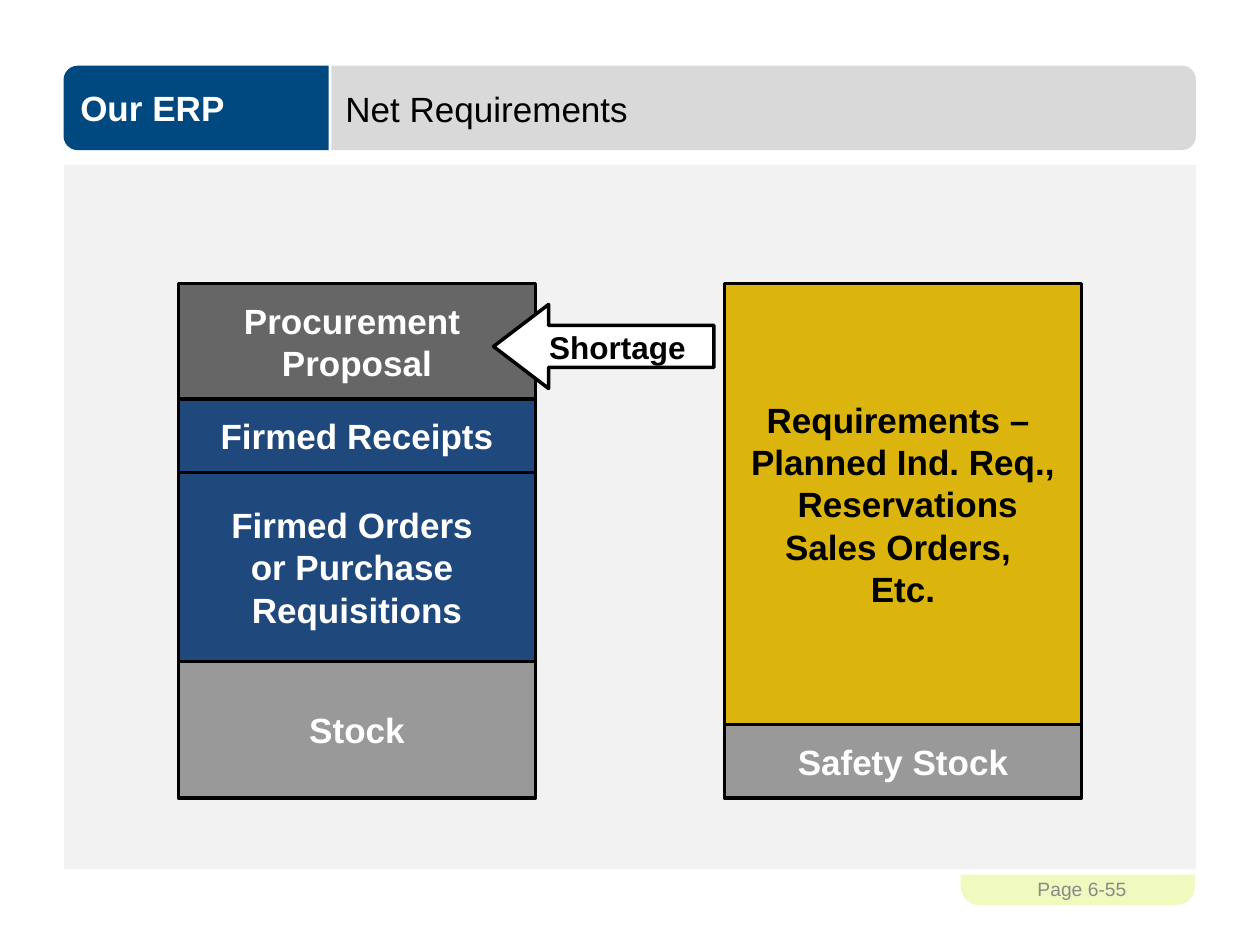
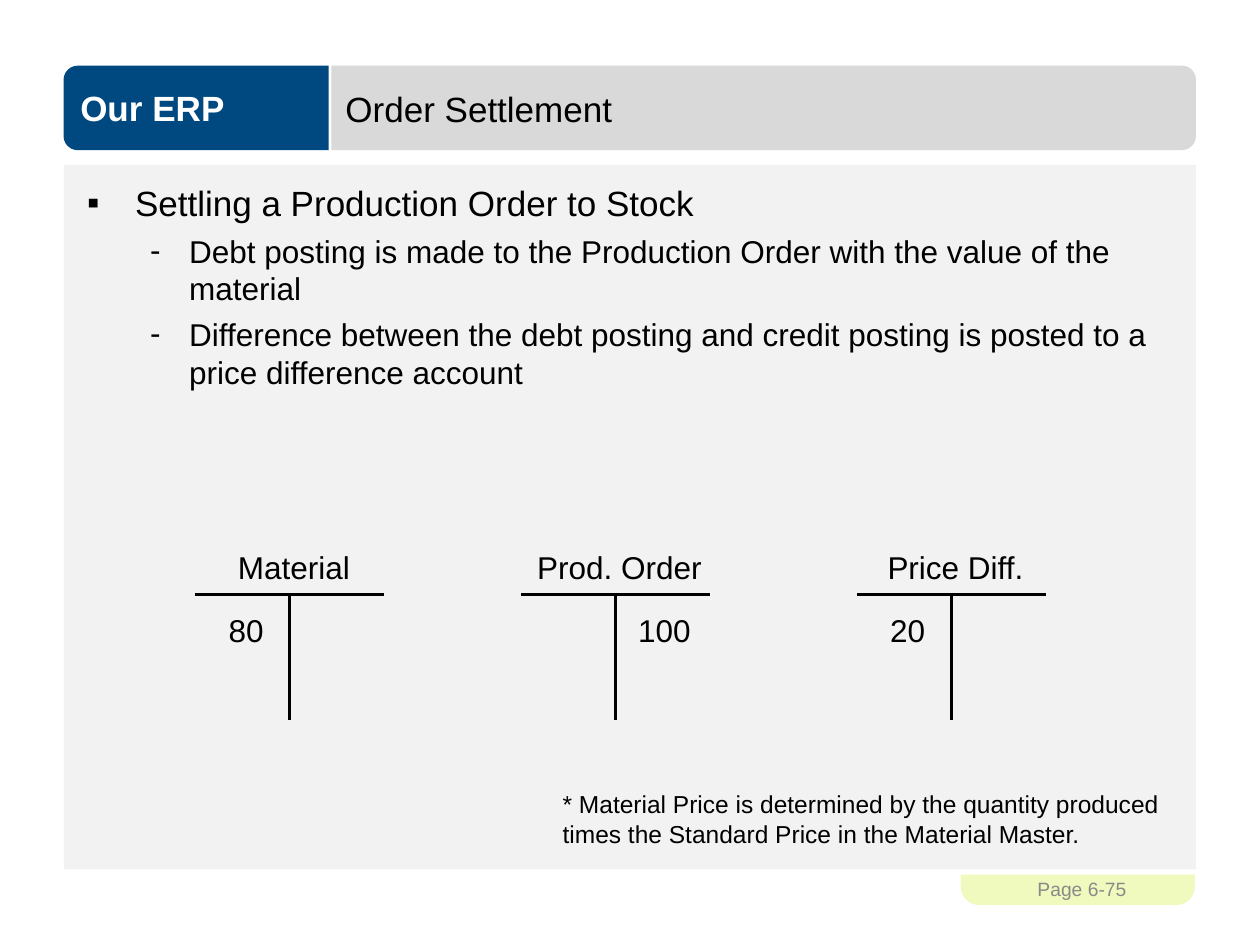
from dataclasses import dataclass

from lxml import etree
from pptx import Presentation
from pptx.dml.color import RGBColor
from pptx.enum.shapes import MSO_CONNECTOR, MSO_SHAPE
from pptx.enum.text import MSO_ANCHOR, MSO_AUTO_SIZE, PP_ALIGN
from pptx.oxml.ns import qn
from pptx.util import Emu, Inches, Pt

RECT, ROUNDED = MSO_SHAPE.RECTANGLE, MSO_SHAPE.ROUNDED_RECTANGLE
TWO_ROUNDED, LEFT_ARROW = MSO_SHAPE.ROUND_2_SAME_RECTANGLE, MSO_SHAPE.LEFT_ARROW
STRAIGHT = MSO_CONNECTOR.STRAIGHT
LEFT, CENTER = PP_ALIGN.LEFT, PP_ALIGN.CENTER
TOP, MIDDLE = MSO_ANCHOR.TOP, MSO_ANCHOR.MIDDLE
NO_FIT, GROW = MSO_AUTO_SIZE.NONE, MSO_AUTO_SIZE.SHAPE_TO_FIT_TEXT

WIDTH, HEIGHT = Inches(10), Inches(7.5)
UNIT = WIDTH / 120  # the page is a grid of 120 columns by 90 rows
FONT = "Arial"
BLACK, WHITE, NAVY, BLUE = "000000", "FFFFFF", "004880", "1F497D"
BAND_GREY, PANEL_GREY, PAGE_GREY = "D9D9D9", "F2F2F2", "898989"
DARK_GREY, STOCK_GREY, GOLD, LIME = "666666", "999999", "DBB40D", "F1FABE"

TITLE_LAYOUT, LIST_LAYOUT = 5, 1


@dataclass(frozen=True)
class Area:
    """A rectangle in grid units."""
    left: float
    top: float
    width: float
    height: float

    def emu(self) -> list[Emu]:
        return [grid(n) for n in (self.left, self.top, self.width, self.height)]


@dataclass(frozen=True)
class TextStyle:
    size: float
    color: str = BLACK
    bold: bool = False
    align: PP_ALIGN = LEFT


@dataclass(frozen=True)
class Block:
    """One layer of a stacked column."""
    lines: tuple[str, ...]
    rows: float
    fill: str
    ink: str = WHITE


@dataclass(frozen=True)
class Account:
    name: str
    left: float
    label_width: float
    amount: str
    amount_shift: float


@dataclass(frozen=True)
class Bullet:
    text: str
    level: int
    mark: str
    size: float
    indent: float
    hanging: float
    before: float


TITLE = TextStyle(20)
BRAND = TextStyle(20, WHITE, True, CENTER)
PAGE_NUMBER = TextStyle(11, PAGE_GREY, align=CENTER)
ACCOUNT_NAME = TextStyle(18, align=CENTER)
AMOUNT = TextStyle(18)
FOOTNOTE = TextStyle(14)
SHORTAGE = TextStyle(18, BLACK, True, CENTER)

BAND_TOP, BAND_HEIGHT = 6.25, 8.05
STACK_TOP, STACK_WIDTH = 27, 34
STACKS = {
    17: (
        Block(("Procurement ", "Proposal"), 11, DARK_GREY),
        Block(("Firmed Receipts",), 7, BLUE),
        Block(("Firmed Orders ", "or Purchase ", "Requisitions"), 18, BLUE),
        Block(("Stock",), 13, STOCK_GREY),
    ),
    69: (
        Block(("Requirements – ", "Planned Ind. Req.,", " Reservations",
               "Sales Orders, ", "Etc."), 42, GOLD, BLACK),
        Block(("Safety Stock",), 7, STOCK_GREY),
    ),
}

ACCOUNT_TOP, ACCOUNT_WIDTH, STEM_HEIGHT = 56.6, 18, 12
DEBIT, CREDIT = 2, 10
ACCOUNTS = (
    Account("Material", 18.6, 17, "80", DEBIT),
    Account("Prod. Order", 49.6, 21, "100", CREDIT),
    Account("Price Diff.", 81.6, 17, "20", DEBIT),
)

BULLETS = (
    Bullet("Settling a Production Order to Stock", 0, "▪", 20, 0.38, 0.38, 0),
    *(Bullet(text, 1, "-", 18, 0.81, 0.31, 4.5) for text in (
        "Debt posting is made to the Production Order with the value of the material",
        "Difference between the debt posting and credit posting is posted to a "
        "price difference account",
    )),
)


def grid(units: float) -> Emu:
    return Emu(round(units * UNIT))


def rgb(color: str) -> RGBColor:
    return RGBColor.from_string(color)


def set_all(target, values: dict) -> None:
    for name, value in values.items():
        setattr(target, name, value)


def place(box, area: Area) -> None:
    set_all(box, dict(zip(("left", "top", "width", "height"), area.emu())))


def add_span(para, text: str, style: TextStyle) -> None:
    span = para.add_run()
    span.text = text
    set_all(span.font, {"name": FONT, "size": Pt(style.size), "bold": style.bold})
    span.font.color.rgb = rgb(style.color)


def write(box, lines: tuple[str, ...], style: TextStyle, **frame_values) -> None:
    """Fill a box with one paragraph per line."""
    frame = box.text_frame
    set_all(frame, {"word_wrap": True, "vertical_anchor": MIDDLE, **frame_values})
    for number, line in enumerate(lines):
        para = frame.add_paragraph() if number else frame.paragraphs[0]
        para.alignment = style.align
        add_span(para, line, style)


def add_box(page, kind: MSO_SHAPE, area: Area, fill: str, outlined: bool = False):
    box = page.shapes.add_shape(kind, *area.emu())
    box.shadow.inherit = False
    box.fill.solid()
    box.fill.fore_color.rgb = rgb(fill)
    if outlined:
        box.line.color.rgb = rgb(BLACK)
        box.line.width = Pt(2)
    else:
        box.line.fill.background()
    return box


def add_text(page, area: Area, text: str, style: TextStyle, **frame_values) -> None:
    write(page.shapes.add_textbox(*area.emu()), (text,), style, **frame_values)


def add_line(page, x1: float, y1: float, x2: float, y2: float) -> None:
    line = page.shapes.add_connector(STRAIGHT, *map(grid, (x1, y1, x2, y2)))
    line.line.color.rgb = rgb(BLACK)
    line.line.width = Pt(1.5)
    etree.SubElement(line.element.spPr, qn("a:effectLst"))


def add_band(page, left: float, width: float, fill: str, rotation: int):
    """Draw a header band whose outer end is rounded, as a turned upright shape."""
    area = Area(left + (width - BAND_HEIGHT) / 2, BAND_TOP + (BAND_HEIGHT - width) / 2,
                BAND_HEIGHT, width)
    band = add_box(page, TWO_ROUNDED, area, fill)
    band.rotation = rotation
    return band


def add_page(deck, layout: int, title: str, number: str):
    page = deck.slides.add_slide(deck.slide_layouts[layout])
    tab = add_box(page, ROUNDED, Area(91.5, 81.4, 22.3, 4.8), LIME)
    tab.adjustments[0] = 0.365
    add_box(page, RECT, Area(90.1, 80.4, 26.8, 2.9), WHITE)
    add_box(page, RECT, Area(6.1, 15.7, 107.8, 67.1), PANEL_GREY)
    brand = add_band(page, 6.05, 25.25, NAVY, 270)
    write(brand, ("Our ERP",), BRAND, margin_left=Inches(0.05), margin_right=Inches(0.05),
          margin_top=Inches(0.1), margin_bottom=Inches(0.1))
    brand.element.txBody.bodyPr.set("vert", "eaVert")
    add_band(page, 31.55, 82.35, BAND_GREY, 90)
    add_text(page, Area(92.2, 82.3, 21.7, 4.8), number, PAGE_NUMBER)
    for holder in page.placeholders:
        page.shapes.element.append(holder.element)  # bring in front of the bands
    place(page.shapes.title, Area(31.7, 6.45, 80, 7.8))
    write(page.shapes.title, (title,), TITLE, auto_size=NO_FIT)
    return page


def add_stack(page, left: float, blocks: tuple[Block, ...]) -> None:
    top = STACK_TOP
    for block in blocks:
        area = Area(left, top, STACK_WIDTH, block.rows)
        box = add_box(page, RECT, area, block.fill, outlined=True)
        write(box, block.lines, TextStyle(20, block.ink, True, CENTER), word_wrap=False)
        top += block.rows


def add_account(page, account: Account) -> None:
    """Draw a T account with its name and one amount."""
    left, top = account.left, ACCOUNT_TOP
    stem = left + ACCOUNT_WIDTH / 2
    add_line(page, left, top, left + ACCOUNT_WIDTH, top)
    add_line(page, stem, top, stem, top + STEM_HEIGHT)
    label = Area(stem + 0.4 - account.label_width / 2, top - 5, account.label_width, 4.8)
    amount = Area(left + account.amount_shift, top + 1, 9, 4.8)
    for area, text, style in ((label, account.name, ACCOUNT_NAME),
                              (amount, account.amount, AMOUNT)):
        add_text(page, area, text, style, vertical_anchor=TOP, auto_size=GROW)


def add_bullet(para, bullet: Bullet) -> None:
    para.level = bullet.level
    props = para._p.get_or_add_pPr()
    props.set("marL", str(Inches(bullet.indent)))
    props.set("indent", str(-Inches(bullet.hanging)))
    color = etree.SubElement(props, qn("a:buClr"))
    etree.SubElement(color, qn("a:srgbClr"), val=BLACK)
    etree.SubElement(props, qn("a:buFont"), typeface=FONT)
    etree.SubElement(props, qn("a:buChar"), char=bullet.mark)
    para.space_before = Pt(bullet.before)
    add_span(para, bullet.text, TextStyle(bullet.size))


def add_net_requirements(deck) -> None:
    page = add_page(deck, TITLE_LAYOUT, "Net Requirements", "Page 6-55")
    for left, blocks in STACKS.items():
        add_stack(page, left, blocks)
    arrow = add_box(page, LEFT_ARROW, Area(47, 29, 21, 8), WHITE, outlined=True)
    arrow.adjustments[1] = 0.656
    write(arrow, ("Shortage",), SHORTAGE, word_wrap=False)


def add_order_settlement(deck) -> None:
    page = add_page(deck, LIST_LAYOUT, "Order Settlement", "Page 6-75")
    body = page.placeholders[1]
    place(body, Area(7.1, 16.7, 106.8, 63.7))
    frame = body.text_frame
    set_all(frame, {"word_wrap": True, "vertical_anchor": TOP, "auto_size": NO_FIT})
    for number, bullet in enumerate(BULLETS):
        add_bullet(frame.add_paragraph() if number else frame.paragraphs[0], bullet)
    for account in ACCOUNTS:
        add_account(page, account)
    add_text(page, Area(52.4, 74.6, 60.1, 6.8),
             "* Material Price is determined by the quantity produced times the "
             "Standard Price in the Material Master.",
             FOOTNOTE, vertical_anchor=TOP, auto_size=GROW)


def main() -> None:
    deck = Presentation()
    deck.slide_width, deck.slide_height = WIDTH, HEIGHT
    add_net_requirements(deck)
    add_order_settlement(deck)
    deck.save("out.pptx")


if __name__ == "__main__":
    main()
